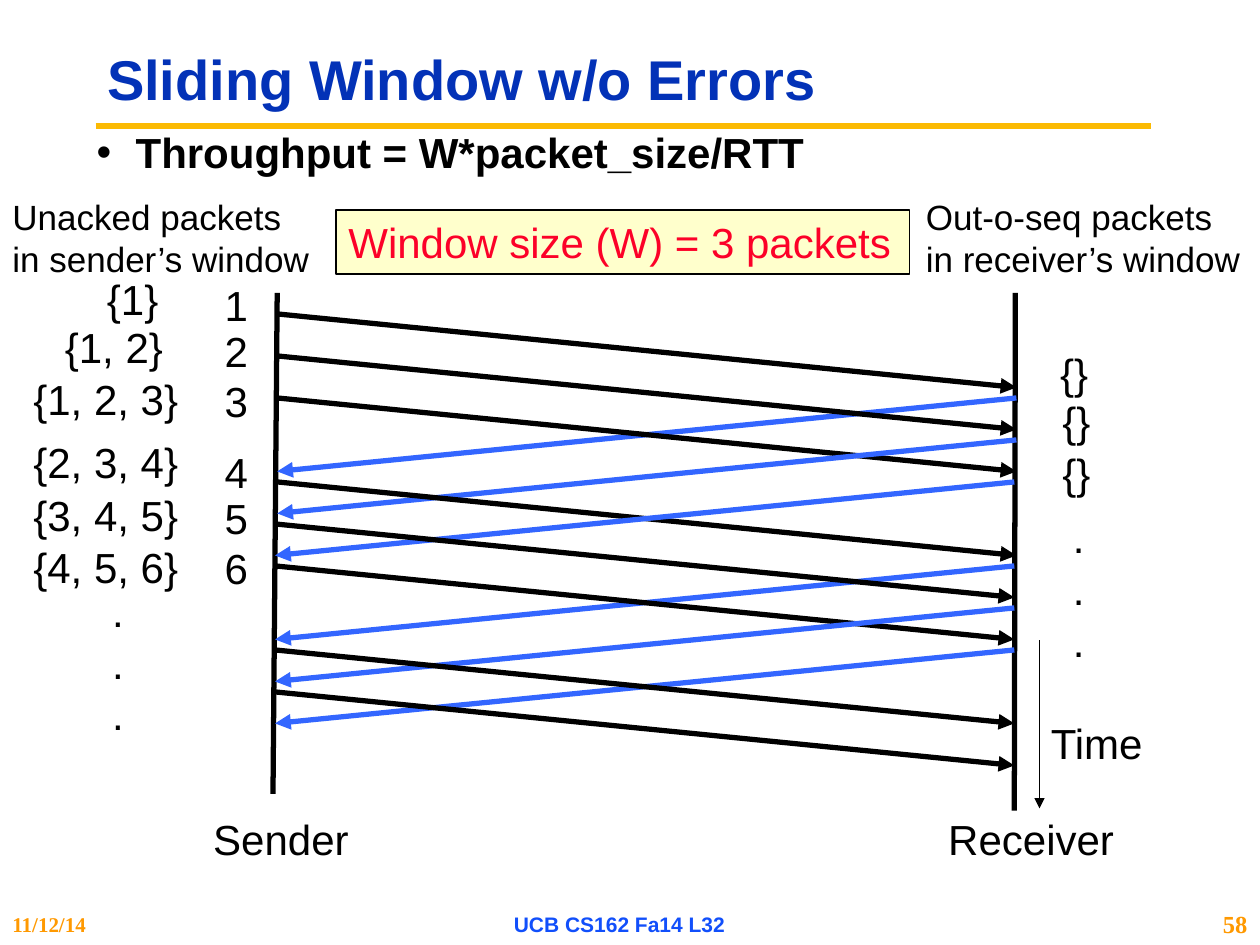
import dataclasses
import typing

import lxml.etree
import pptx
import pptx.dml.color
import pptx.enum.shapes
import pptx.enum.text
import pptx.oxml.ns
import pptx.util

RGBColor = pptx.dml.color.RGBColor
PP_ALIGN = pptx.enum.text.PP_ALIGN
MSO_ANCHOR = pptx.enum.text.MSO_ANCHOR
MSO_AUTO_SIZE = pptx.enum.text.MSO_AUTO_SIZE

BLACK = RGBColor(0x00, 0x00, 0x00)
TITLE_BLUE = RGBColor(0x03, 0x32, 0xB7)
RULE_GOLD = RGBColor(0xFB, 0xBA, 0x03)
ACK_BLUE = RGBColor(0x33, 0x66, 0xFF)
NOTE_YELLOW = RGBColor(0xFF, 0xFF, 0xCC)
NOTE_RED = RGBColor(0xFC, 0x01, 0x28)
FOOTER_ORANGE = RGBColor(0xFF, 0x99, 0x00)
FOOTER_BLUE = RGBColor(0x11, 0x4F, 0xFB)

# The slide is a grid of 120 columns by 90 rows, each cell 1/12 inch square.
CELL = pptx.util.Inches(10) / 120
FIRST_SEND_ROW = 29.9
SLOT_ROWS = 4
DELAY_ROWS = 7


class Box(typing.NamedTuple):
    left: float
    top: float
    width: float
    height: float


@dataclasses.dataclass(frozen=True)
class Packet:
    number: int
    window: str
    window_left: float
    window_width: float
    window_top: float
    number_top: float


@dataclasses.dataclass(frozen=True)
class Message:
    slot: int
    is_ack: bool = False
    shift: float = 0


PACKETS = [
    Packet(1, "{1}", 9, 7.8, 25.5, 26),
    Packet(2, "{1, 2}", 5, 12.2, 30, 30.4),
    Packet(3, "{1, 2, 3}", 2, 16.8, 35, 35.2),
    Packet(4, "{2, 3, 4}", 2, 16.8, 41, 41.9),
    Packet(5, "{3, 4, 5}", 2, 16.8, 46, 46.3),
    Packet(6, "{4, 5, 6}", 2, 16.8, 51, 51.1),
]

LATER = -0.2
MESSAGES = [
    Message(0), Message(2, True), Message(1), Message(2), Message(3, True),
    Message(4), Message(4, True, LATER), Message(6, True, LATER),
    Message(5, False, LATER), Message(6, False, LATER),
    Message(7, True, LATER), Message(8, True, LATER),
    Message(8, False, LATER), Message(9, False, LATER),
]


def cells(count: float) -> int:
    return round(count * CELL)


def place(shape, box: Box) -> None:
    shape.left, shape.top, shape.width, shape.height = map(cells, box)


def write(shape, text: str, *, size: float = 24, color: RGBColor = BLACK,
          font: str = "Arial", bold: bool = False, align=PP_ALIGN.LEFT,
          anchor=MSO_ANCHOR.TOP, fit: bool = True, line_spacing: float = 1.0) -> None:
    """Fill a shape with one paragraph per line of text."""
    frame = shape.text_frame
    frame.word_wrap = not fit
    frame.auto_size = MSO_AUTO_SIZE.SHAPE_TO_FIT_TEXT if fit else MSO_AUTO_SIZE.NONE
    frame.vertical_anchor = anchor
    frame.margin_left = frame.margin_right = pptx.util.Inches(0.1)
    frame.margin_top = frame.margin_bottom = pptx.util.Inches(0.05)
    frame.text = text
    for paragraph in frame.paragraphs:
        paragraph.alignment = align
        paragraph.line_spacing = line_spacing
        paragraph.space_before = pptx.util.Pt(0)
        for run in paragraph.runs:
            run.font.name = font
            run.font.size = pptx.util.Pt(size)
            run.font.bold = bold
            run.font.color.rgb = color


def add_text(slide, text: str, box: Box, **text_format) -> None:
    write(slide.shapes.add_textbox(*map(cells, box)), text, **text_format)


def add_line(slide, start: tuple[float, float], end: tuple[float, float], *,
             color: RGBColor = BLACK, width: float = 3, arrow: bool = False) -> None:
    connector = slide.shapes.add_connector(
        pptx.enum.shapes.MSO_CONNECTOR.STRAIGHT, *map(cells, (*start, *end)))
    connector.line.color.rgb = color
    connector.line.width = pptx.util.Pt(width)
    if arrow:
        line = connector.line._get_or_add_ln()
        lxml.etree.SubElement(line, pptx.oxml.ns.qn("a:tailEnd"), type="triangle")
    lxml.etree.SubElement(connector._element.spPr, pptx.oxml.ns.qn("a:effectLst"))


def add_message(slide, message: Message) -> None:
    row = FIRST_SEND_ROW + SLOT_ROWS * message.slot
    sender, receiver = 26.4 + message.shift, 96.8 + message.shift
    start, end = (receiver, sender) if message.is_ack else (sender, receiver)
    add_line(slide, (start, row), (end, row + DELAY_ROWS),
             color=ACK_BLUE if message.is_ack else BLACK, arrow=True)


def add_packet(slide, packet: Packet) -> None:
    add_text(slide, str(packet.number), Box(20.2, packet.number_top, 4.4, 5.9))
    add_text(slide, packet.window,
             Box(packet.window_left, packet.window_top, packet.window_width, 6))


def add_heading(slide) -> None:
    add_line(slide, (9.1, 12), (109.6, 12), color=RULE_GOLD, width=3.75)
    title, body = slide.placeholders
    place(title, Box(9, 3, 101, 9.7))
    write(title, "Sliding Window w/o Errors", size=32, color=TITLE_BLUE, bold=True,
          anchor=MSO_ANCHOR.MIDDLE, fit=False, line_spacing=0.9)
    place(body, Box(8, 12, 104, 9))
    write(body, "Throughput = W*packet_size/RTT", bold=True, fit=False, line_spacing=0.9)
    properties = body.text_frame.paragraphs[0]._p.get_or_add_pPr()
    indent = pptx.util.Inches(0.31)
    properties.set("marL", str(indent))
    properties.set("indent", str(-indent))
    lxml.etree.SubElement(properties, pptx.oxml.ns.qn("a:buChar"), char="•")


def add_window_note(slide) -> None:
    note = slide.shapes.add_shape(pptx.enum.shapes.MSO_SHAPE.RECTANGLE,
                                  *map(cells, Box(32, 20, 54.6, 6.1)))
    note.shadow.inherit = False
    note.fill.solid()
    note.fill.fore_color.rgb = NOTE_YELLOW
    note.line.color.rgb = BLACK
    note.line.width = pptx.util.Pt(0.75)
    write(note, "Window size (W) = 3 packets", color=NOTE_RED)


def add_timelines(slide) -> None:
    add_line(slide, (26.4, 27.9), (26, 75.6))
    add_line(slide, (96.7, 27.9), (96.6, 77.2))
    add_line(slide, (99, 61), (99, 77), width=1, arrow=True)
    for text, box in (("Time", Box(98.8, 67.7, 11.3, 6)),
                      ("Sender", Box(19, 76.9, 15.5, 6)),
                      ("Receiver", Box(89, 76.9, 18.4, 6))):
        add_text(slide, text, box, align=PP_ALIGN.CENTER, anchor=MSO_ANCHOR.MIDDLE)


def add_window_labels(slide) -> None:
    add_text(slide, "Unacked packets\nin sender’s window", Box(0, 18, 31, 9.2), size=20)
    add_text(slide, "Out-o-seq packets\nin receiver’s window", Box(87, 18, 32.9, 9.2), size=20)
    for left, top in ((99.8, 32.5), (100, 37.1), (100, 42)):
        add_text(slide, "{}", Box(left, top, 5.3, 6))
    for left, top in ((9.5, 55), (101, 48)):
        add_text(slide, ".\n.\n.", Box(left, top, 3.5, 15.7), line_spacing=1.03)


def add_footer(slide) -> None:
    footer = {"bold": True, "anchor": MSO_ANCHOR.MIDDLE, "fit": False}
    serif = {"font": "Times New Roman", "color": FOOTER_ORANGE}
    add_text(slide, "11/12/14", Box(0, 86, 20, 4), size=12, **serif, **footer)
    add_text(slide, "UCB CS162 Fa14 L32", Box(40, 86, 38, 4), size=12,
             color=FOOTER_BLUE, align=PP_ALIGN.CENTER, **footer)
    add_text(slide, "58", Box(113, 86, 7, 4), size=14, align=PP_ALIGN.RIGHT,
             **serif, **footer)


def main() -> None:
    presentation = pptx.Presentation()
    presentation.slide_width = cells(120)
    presentation.slide_height = cells(90)
    slide = presentation.slides.add_slide(presentation.slide_layouts[1])
    add_heading(slide)
    add_window_note(slide)
    add_timelines(slide)
    for message in MESSAGES:
        add_message(slide, message)
    for packet in PACKETS:
        add_packet(slide, packet)
    add_window_labels(slide)
    add_footer(slide)
    presentation.save("out.pptx")


if __name__ == "__main__":
    main()
